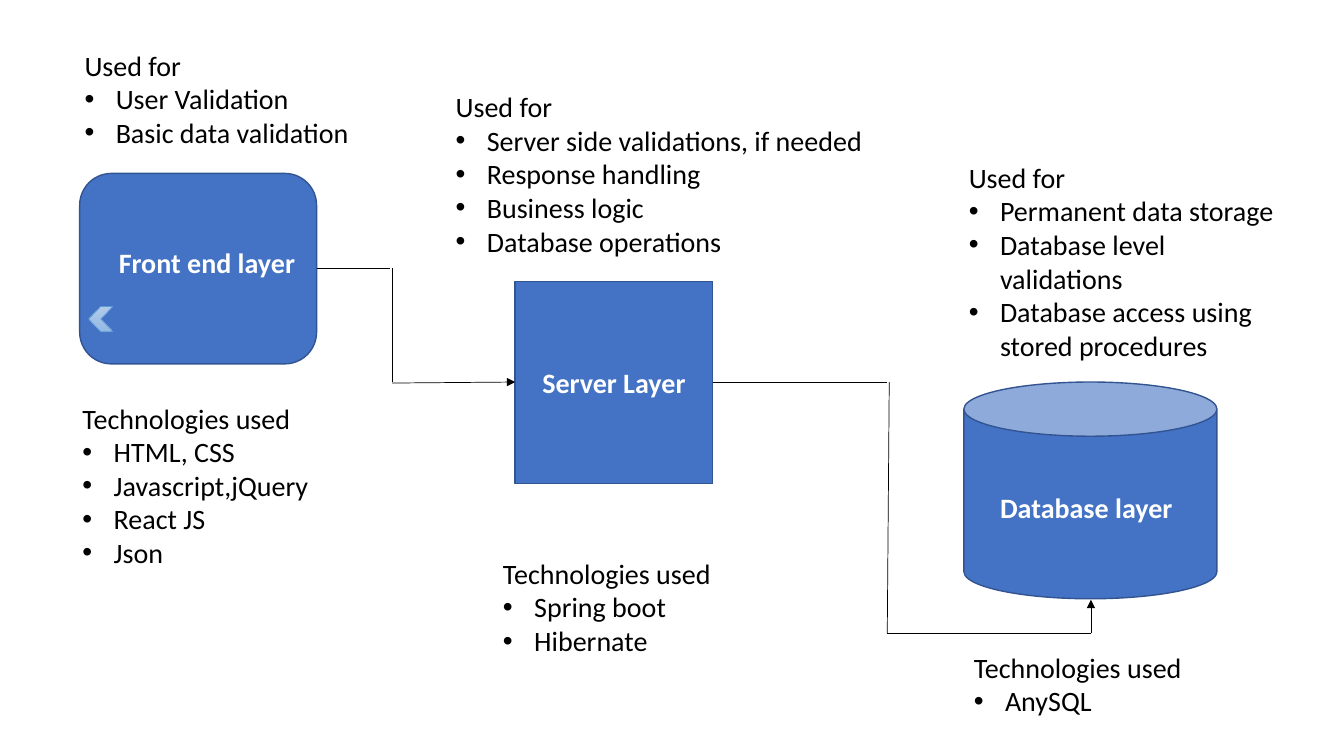
import pptx
import pptx.util
import pptx.dml.color
import pptx.enum.shapes
import pptx.enum.text
import pptx.oxml.ns
from lxml import etree

Inches, Pt = pptx.util.Inches, pptx.util.Pt
SHAPE = pptx.enum.shapes.MSO_SHAPE
qn = pptx.oxml.ns.qn

COLORS = {"layer": "4472C4", "outline": "325491", "label": "FFFFFF", "text": "000000",
          "chevron top": "B1CBE9", "chevron bottom": "93B9E4", "chevron line": "5B9BD5"}
FONT, SIZE, INDENT = "Calibri", 20, 0.31

# Content: places are left, top, width, height in inches
LAYERS = [
    (SHAPE.ROUNDED_RECTANGLE, (0.79, 1.72, 2.35, 1.89), ""),
    (SHAPE.RECTANGLE, (5.11, 2.79, 1.96, 2.01), "Server Layer"),
    (SHAPE.CAN, (9.56, 3.79, 2.51, 2.15), ""),
]
LAYER_LABELS = [
    ((1.08, 2.39, 2.56, 0.44), "Front end layer"),
    ((9.82, 4.82, 2.79, 0.44), "Database layer"),
]
USES, TECHNOLOGIES = "Used for", "Technologies used"
NOTES = [
    ((0.74, 0.43, 3.04, 1.11), USES, ["User Validation", "Basic data validation"]),
    ((0.72, 3.93, 3.04, 1.78), TECHNOLOGIES,
     ["HTML, CSS", "Javascript,jQuery", "React JS", "Json"]),
    ((4.42, 0.84, 4.31, 1.78), USES,
     ["Server side validations, if needed", "Response handling",
      "Business logic", "Database operations"]),
    ((4.89, 5.47, 3.04, 1.11), TECHNOLOGIES, ["Spring boot", "Hibernate"]),
    ((9.56, 6.4, 3.04, 0.77), TECHNOLOGIES, ["AnySQL"]),
    ((9.51, 1.54, 3.41, 2.12), USES,
     ["Permanent data storage", "Database level validations",
      "Database access using stored procedures"]),
]
CHEVRON = (0.88, 3.04, 0.24, 0.25)
# Each route is a chain of segments; its last one carries the arrowhead
ROUTES = [
    [((3.14, 2.66), (3.87, 2.66)), ((3.89, 2.66), (3.89, 3.79)), ((3.89, 3.8), (5.11, 3.79))],
    [((7.07, 3.79), (8.8, 3.79)), ((8.82, 3.79), (8.8, 6.28)),
     ((8.8, 6.28), (10.82, 6.28)), ((10.82, 6.28), (10.82, 5.95))],
]


def rgb(name):
    return pptx.dml.color.RGBColor.from_string(COLORS[name])


def inches(values):
    return [Inches(value) for value in values]


def style(paragraph, color, bold=False):
    font = paragraph.font
    font.name, font.size, font.bold = FONT, Pt(SIZE), bold
    font.color.rgb = rgb(color)


def add_shape(kind, place, line_color, line_width):
    shape = slide.shapes.add_shape(kind, *inches(place))
    shape.shadow.inherit = False
    shape.line.color.rgb = rgb(line_color)
    shape.line.width = Pt(line_width)
    return shape


def add_text(place, lines, color, bold=False):
    frame = slide.shapes.add_textbox(*inches(place)).text_frame
    frame.word_wrap = True
    frame.auto_size = pptx.enum.text.MSO_AUTO_SIZE.SHAPE_TO_FIT_TEXT
    frame.text = "\n".join(lines)
    for paragraph in frame.paragraphs:
        style(paragraph, color, bold)
    return frame


def add_bullet(paragraph):
    properties = paragraph._p.get_or_add_pPr()
    properties.set("marL", str(Inches(INDENT)))
    properties.set("indent", str(-Inches(INDENT)))
    bullet_font = etree.Element(qn("a:buFont"), typeface="Arial")
    bullet = etree.Element(qn("a:buChar"), char="•")
    properties.insert(0, bullet_font)
    properties.insert(1, bullet)


def add_segment(start, end, arrow):
    segment = slide.shapes.add_connector(
        pptx.enum.shapes.MSO_CONNECTOR.STRAIGHT, *inches(start + end))
    segment.line.color.rgb = rgb("text")
    segment.line.width = Pt(0.5)
    if arrow:
        etree.SubElement(segment.line._get_or_add_ln(), qn("a:tailEnd"), type="triangle")
    etree.SubElement(segment._element.spPr, qn("a:effectLst"))


deck = pptx.Presentation()
deck.slide_width, deck.slide_height = Inches(13.33), Inches(7.5)
slide = deck.slides.add_slide(deck.slide_layouts[6])

# Layers
for kind, place, label in LAYERS:
    layer = add_shape(kind, place, "outline", 1)
    layer.fill.solid()
    layer.fill.fore_color.rgb = rgb("layer")
    if label:
        layer.text_frame.text = label
        layer.text_frame.vertical_anchor = pptx.enum.text.MSO_ANCHOR.MIDDLE
        layer.text_frame.paragraphs[0].alignment = pptx.enum.text.PP_ALIGN.CENTER
        style(layer.text_frame.paragraphs[0], "label", True)

# Arrows between layers
for route in ROUTES:
    for segment in route:
        add_segment(*segment, arrow=segment is route[-1])

# Layer labels and notes
for place, label in LAYER_LABELS:
    add_text(place, [label], "label", True)
for place, heading, items in NOTES:
    note = add_text(place, [heading] + items, "text")
    for item in note.paragraphs[1:]:
        add_bullet(item)

# Chevron pointing left, shaded from top to bottom
chevron = add_shape(SHAPE.CHEVRON, CHEVRON, "chevron line", 0.5)
chevron._element.spPr.find(qn("a:xfrm")).set("flipH", "1")
chevron.fill.gradient()
chevron.fill.gradient_angle = 270
for stop, name in zip(chevron.fill.gradient_stops, ("chevron top", "chevron bottom")):
    stop.color.rgb = rgb(name)

deck.save("out.pptx")
